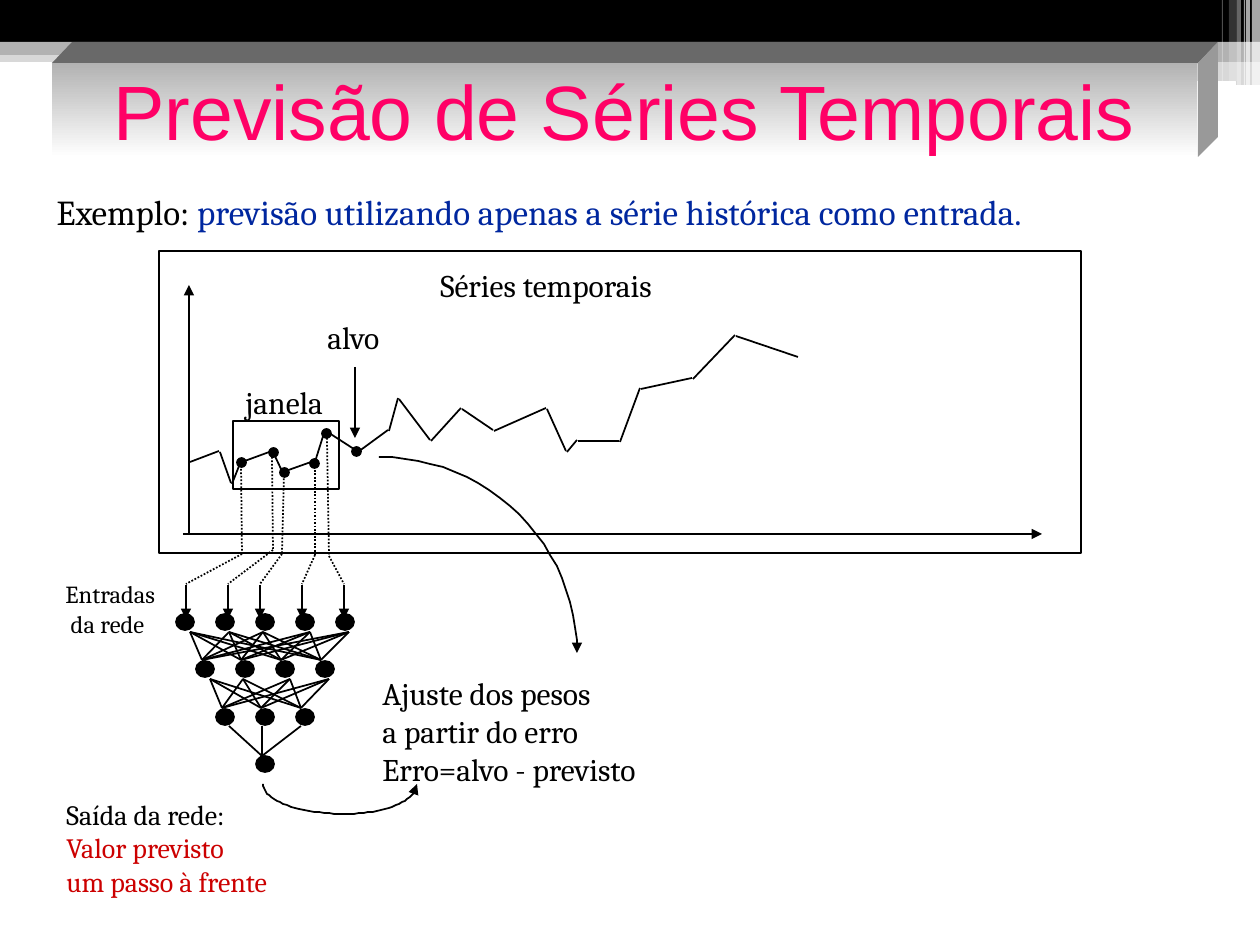
from itertools import product
from math import cos, radians, sin

from lxml import etree
from pptx import Presentation
from pptx.dml.color import RGBColor
from pptx.enum.dml import MSO_LINE
from pptx.enum.shapes import MSO_CONNECTOR, MSO_SHAPE
from pptx.enum.text import MSO_ANCHOR, MSO_AUTO_SIZE, PP_ALIGN
from pptx.oxml.ns import qn
from pptx.util import Emu, Pt

RECT, OVAL, ROUND = MSO_SHAPE.RECTANGLE, MSO_SHAPE.OVAL, MSO_SHAPE.ROUNDED_RECTANGLE
STRAIGHT, DOTS = MSO_CONNECTOR.STRAIGHT, MSO_LINE.ROUND_DOT
MIDDLE, CENTER = MSO_ANCHOR.MIDDLE, PP_ALIGN.CENTER
GROW = MSO_AUTO_SIZE.SHAPE_TO_FIT_TEXT
PX = 914400 // 126
COLORS = {
    "black": "000000", "white": "FFFFFF", "gray": "B2B2B2", "top": "696969",
    "side": "999999", "pink": "FF0066", "blue": "00279F", "red": "CC0000",
}


def rgb(name):
    return RGBColor.from_string(COLORS[name])


class Board:
    font, line_width = "Cambria", Pt(1)

    def __init__(self, slide):
        self.shapes = slide.shapes

    def paint(self, s, fill=None, line=None, alpha=100):
        s.shadow.inherit = False
        if fill:
            s.fill.solid()
            s.fill.fore_color.rgb = rgb(fill)
            if alpha < 100:
                clr = s._element.spPr.find(qn("a:solidFill"))[0]
                etree.SubElement(clr, qn("a:alpha"), val=str(alpha * 1000))
        else:
            s.fill.background()
        if line:
            s.line.color.rgb = rgb(line)
            s.line.width = self.line_width
        else:
            s.line.fill.background()
        return s

    def shape(self, kind, x, y, w, h, fill=None, line=None, alpha=100):
        s = self.shapes.add_shape(kind, *(Emu(v * PX) for v in (x, y, w, h)))
        return self.paint(s, fill, line, alpha)

    def dot(self, cx, cy, w, h):
        return self.shape(OVAL, cx - w // 2, cy - h // 2, w, h, "black", "black")

    def arrowhead(self, s):
        ln = s._element.spPr.find(qn("a:ln"))
        etree.SubElement(ln, qn("a:tailEnd"), type="triangle")

    def line(self, start, end, arrow=False, dotted=False):
        s = self.shapes.add_connector(STRAIGHT, *(Emu(v * PX) for v in (*start, *end)))
        s.line.color.rgb = rgb("black")
        s.line.width = self.line_width
        if dotted:
            s.line.dash_style = DOTS
        if arrow:
            self.arrowhead(s)
        etree.SubElement(s._element.spPr, qn("a:effectLst"))

    def outline(self, points, fill=None, line=None, closed=True, arrow=False):
        fb = self.shapes.build_freeform(*points[0], scale=PX)
        fb.add_line_segments(points[1:], close=closed)
        s = self.paint(fb.convert_to_shape(), fill, line)
        if arrow:
            self.arrowhead(s)

    def arc(self, cx, cy, rx, ry, start, end, arrow=False):
        angles = [radians(start + (end - start) * i / 24) for i in range(25)]
        points = [(cx + rx * cos(a), cy + ry * sin(a)) for a in angles]
        self.outline(points, line="black", closed=False, arrow=arrow)

    def add_runs(self, p, runs):
        for text, size, color, font in runs:
            r = p.add_run()
            r.text = text
            r.font.size, r.font.name = Pt(size), font
            r.font.color.rgb = rgb(color)

    def text(self, x, y, w, h, paragraphs, wrap=False, spacing=None):
        s = self.shapes.add_textbox(*(Emu(v * PX) for v in (x, y, w, h)))
        tf = s.text_frame
        tf.word_wrap, tf.auto_size = wrap, GROW
        for i, runs in enumerate(paragraphs):
            p = tf.add_paragraph() if i else tf.paragraphs[0]
            if spacing:
                p.line_spacing = spacing
            self.add_runs(p, runs)

    def label(self, x, y, w, h, size, *lines):
        self.text(x, y, w, h, [[(t, size, c, self.font)] for t, c in lines])


prs = Presentation()
prs.slide_width, prs.slide_height = Emu(1260 * PX), Emu(945 * PX)
board = Board(prs.slides.add_slide(prs.slide_layouts[6]))

# Header bands
for kind, x, y, w, h, fill, alpha in [
    (RECT, 0, 50, 1260, 12, "gray", 50),
    (RECT, 0, 0, 1260, 42, "black", 100),
    (RECT, 0, 42, 1260, 13, "gray", 100),
    (RECT, 746, 49, 514, 13, "gray", 100),
    (RECT, 746, 61, 514, 24, "gray", 50),
    (ROUND, 745, 68, 422, 4, "white", 100),
    (ROUND, 1016, 81, 220, 5, "white", 100),
]:
    board.shape(kind, x, y, w, h, fill, alpha=alpha)
for x, w, h, alpha in [(1252, 8, 86, 65), (1246, 4, 86, 65), (1244, 1, 86, 60),
                       (1237, 4, 86, 40), (1229, 8, 81, 20), (1222, 1, 81, 30)]:
    board.shape(RECT, x, 0, w, h, "white", alpha=alpha)

# Title block with its raised edges
board.outline([(52, 63), (72, 42), (1218, 42), (1198, 63)], "top")
board.outline([(1198, 63), (1218, 42), (1218, 137), (1198, 157)], "side")
title = board.shape(RECT, 52, 63, 1145, 94, "gray")
title.fill.gradient()
title.fill.gradient_angle = 270
for stop, (position, color) in zip(title.fill.gradient_stops, [(0, "gray"), (1, "white")]):
    stop.position = position
    stop.color.rgb = rgb(color)
tf = title.text_frame
tf.vertical_anchor = MIDDLE
tf.paragraphs[0].alignment = CENTER
board.add_runs(tf.paragraphs[0], [("Previsão de Séries Temporais", 44, "pink", "Arial")])

board.text(32, 147, 1187, 95, [[
    (" ", 28, "blue", "Times New Roman"),
    ("Exemplo:", 20, "black", board.font),
    (" previsão utilizando apenas a série histórica como entrada.", 20, "blue", board.font),
]], wrap=True, spacing=1.4)

# Frame and axes
board.shape(RECT, 159, 251, 922, 302, line="black")
board.line((189, 534), (189, 285), arrow=True)
board.line((183, 534), (1042, 534), arrow=True)

# Time series: each piece starts one pixel past the last one
series = [(189, 461), (219, 451), (231, 483), (241, 461), (272, 451), (282, 471),
          (314, 461), (325, 430), (357, 451), (388, 430), (398, 398), (430, 440),
          (461, 408), (493, 430), (546, 408), (566, 451), (577, 440), (619, 441),
          (640, 388), (692, 378), (735, 335), (798, 357)]
for (x, y), end in zip(series, series[1:]):
    board.line((x + 1, y + 1), end)

# Window, its samples and the target
board.shape(RECT, 233, 421, 106, 68, line="black")
for cx, cy in [(241, 462), (273, 452), (284, 472), (314, 463), (326, 433), (356, 451)]:
    board.dot(cx, cy, 9, 9)
board.line((355, 367), (355, 438), arrow=True)

# Dotted paths from the samples to the network inputs
for sample, bend, entry in [
    ((241, 462), (242, 554), 186), ((272, 457), (273, 550), 228),
    ((284, 475), (282, 554), 260), ((315, 470), (315, 555), 302),
    ((327, 438), (329, 556), 344),
]:
    board.line(sample, bend, dotted=True)
    board.line(bend, (entry, 584), dotted=True)
    board.line((entry, 585), (entry, 619), arrow=True)

# Network neurons
for row, count in enumerate([5, 4, 3, 1]):
    for i in range(count):
        board.dot(265 + 20 * (2 * i - count + 1), 622 + row * 95 // 2, 18, 16)

# Network links
for sources, y1, targets, y2 in [
    ([190, 229, 263, 310, 349], 632, [202, 241, 281, 321], 660),
    ([210, 243, 290, 329], 679, [222, 261, 301], 708),
    ([229, 262, 301], 726, [262], 756),
]:
    for x1, x2 in product(sources, targets):
        board.line((x1, y1), (x2, y2))

# Curved arrows
board.arc(379, 653, 198, 196, -90, 0, arrow=True)
board.arc(345, 784, 82, 30, 180, 90)
board.arc(345, 784, 72, 30, 90, 0, arrow=True)

# Labels
board.label(428, 260, 278, 50, 18, ("Séries temporais", "black"))
board.label(233, 377, 108, 50, 18, ("janela", "black"))
board.label(315, 312, 88, 50, 18, ("alvo", "black"))
board.label(370, 668, 321, 126, 18, ("Ajuste dos pesos", "black"),
            ("a partir do erro", "black"), ("Erro=alvo - previsto", "black"))
board.label(53, 573, 130, 71, 14, ("Entradas", "black"), (" da rede", "black"))
board.label(54, 791, 265, 113, 16, ("Saída da rede:", "black"),
            ("Valor previsto", "red"), ("um passo à frente", "red"))

prs.save("out.pptx")
